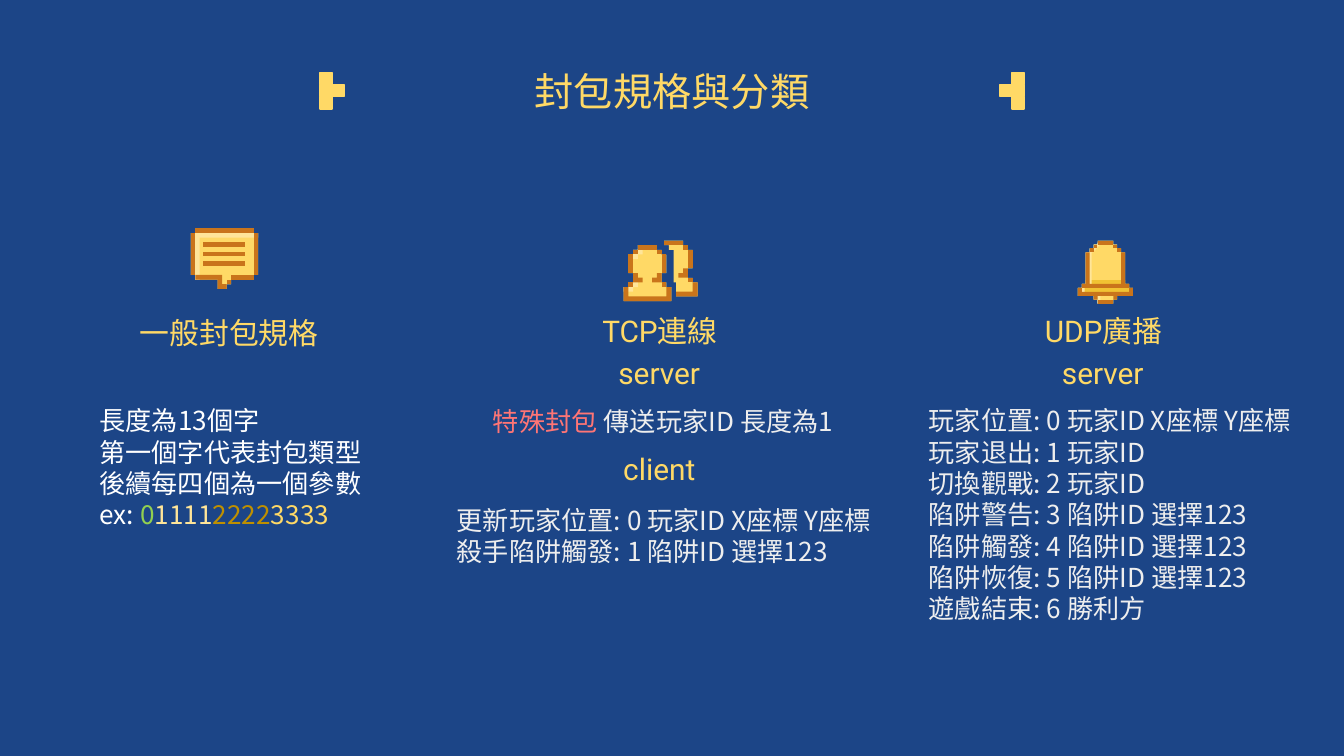
from dataclasses import dataclass

from lxml import etree
from pptx import Presentation
from pptx import util as u
from pptx.dml.color import RGBColor
from pptx.enum import text as t
from pptx.oxml import ns


@dataclass(frozen=True)
class Theme:
    background: str = "1C4587"
    gold: str = "FFD966"
    pale: str = "FFE599"
    amber: str = "F1C232"
    bronze: str = "C9741B"
    ochre: str = "BF9000"
    green: str = "92D050"
    red: str = "FF7575"
    white: str = "FFFFFF"
    body: str = "EEEEEE"
    latin: str = "Roboto"
    cjk: str = "Noto Sans CJK TC"
    title_size: int = 21
    heading_size: int = 16
    body_size: int = 14


THEME = Theme()
COMPARISON_LAYOUT = 4

# Pixel icons: each outline lists every second corner, and its steps go down
# or up first, then sideways. Two corners make a rectangle.
MESSAGE = [
    (THEME.gold, [[(1, 0), (0, 1), (1, 10), (6, 11), (8, 13), (9, 12), (14, 11),
                   (15, 10), (14, 1)]]),
    (THEME.pale, [[(1, 0), (0, 1), (1, 10), (2, 11), (15, 2), (14, 1)]]),
    (THEME.bronze, [[(8, 11), (9, 12)], [(0, 1), (1, 10)], [(14, 1), (15, 10)],
                    [(1, 10), (6, 11), (8, 13), (7, 12)],
                    [(1, 0), (14, 1)], [(9, 10), (14, 11)],
                    *[[(2.75, y), (12, y + 1)] for y in (3, 5, 7)]]),
]
PLAYERS = [
    (THEME.gold, [[(3, 1), (2, 2), (1, 3), (2, 7), (1, 9), (0, 10), (10, 13),
                   (9, 10), (8, 9), (9, 7), (8, 3), (7, 2)],
                  [(8.5, 0), (9.5, 1), (10.5, 2), (11, 9), (15.5, 12), (14.5, 9),
                   (13.5, 8), (14.5, 6), (13.5, 2), (12.5, 1)]]),
    (THEME.pale, [[(3, 1), (2, 2), (1, 3), (3, 4), (4, 3)],
                  [(2, 8), (1, 9), (0, 10), (2, 11), (3, 10)]]),
    (THEME.bronze, [[(1, 3), (2, 7)], [(8, 3), (9, 7)], [(3, 1), (7, 2)],
                    [(2, 2), (3, 3)], [(7, 2), (8, 3)],
                    [(7, 7), (6, 8), (8, 9)], [(2, 7), (4, 9), (3, 8)],
                    [(1, 9), (2, 10)], [(8, 9), (9, 10)],
                    [(0, 10), (10, 13), (9, 10), (1, 12)],
                    [(13.5, 2), (14.5, 6)], [(8.5, 0), (12.5, 1)],
                    [(12.5, 1), (13.5, 2)], [(12.5, 6), (11.5, 7), (13.5, 8)],
                    [(13.5, 8), (14.5, 9)], [(14.5, 9), (11, 11), (15.5, 12)]]),
]
BELL = [
    (THEME.gold, [[(5, 0), (4, 1), (3, 2), (2, 3), (1, 11), (0, 12), (4, 14), (5, 15),
                   (9, 16), (10, 15), (14, 14), (13, 12), (12, 11), (11, 3), (10, 2),
                   (9, 1)]]),
    (THEME.amber, [[(2, 10), (1, 11), (0, 12), (14, 14), (13, 12), (12, 11)]]),
    (THEME.pale, [[(5, 0.5), (4, 1), (3, 2), (2, 3), (3.5, 11), (4, 3), (4.5, 2.5),
                   (5, 2), (5.5, 1.5)],
                  [(1, 11), (0, 12), (1.75, 14)], [(4, 13.75), (5, 15), (5.75, 16)]]),
    (THEME.bronze, [[(3, 2), (4, 3)], [(4, 1), (5, 2)],
                    [(2, 3), (1, 11), (13, 12), (12, 11), (11, 3), (3, 11)],
                    [(5, 15), (9, 16)], [(5, 0), (9, 1)],
                    [(10, 2), (11, 3)], [(9, 1), (10, 2)],
                    [(0, 12), (4, 14), (5, 15), (9, 14), (10, 15), (14, 14), (13, 12),
                     (1, 13)]]),
]
# Title brackets, one square per pixel
LEFT_BRACKET = [(THEME.gold, [[(x, y), (x + 1, y + 1)]
                              for x, y in ((0, 2), (0, 1), (0, 0), (1, 1))])]
RIGHT_BRACKET = [(THEME.gold, [[(x, y), (x + 1, y + 1)]
                               for x, y in ((1, 0), (1, 1), (1, 2), (0, 1))])]


def rgb(color):
    return RGBColor.from_string(color)


def pixel_art(slide, box, grid, layers, outlined=False):
    """Draw coloured outlines on a grid of (columns, rows) filling the box."""
    left, top, width, height = box
    cell_w, cell_h = width / grid[0], height / grid[1]
    art = slide.shapes.add_group_shape()
    for color, outlines in layers:
        for steps in outlines:
            corners = [point for (x, y), (_, next_y) in zip(steps, steps[1:] + steps[:1])
                       for point in ((x, y), (x, next_y))]
            points = [(u.Inches(left + x * cell_w), u.Inches(top + y * cell_h))
                      for x, y in corners]
            builder = art.shapes.build_freeform(*points[0])
            builder.add_line_segments(points[1:], close=True)
            pixel = builder.convert_to_shape()
            pixel.shadow.inherit = False
            pixel.fill.solid()
            pixel.fill.fore_color.rgb = rgb(color)
            if outlined:
                pixel.line.color.rgb = rgb(color)
                pixel.line.width = u.Pt(0.75)
            else:
                pixel.line.fill.background()


def write(slide, box, lines, size, color, latin=THEME.cjk, centred=False,
          bottom=False, holder=None):
    """Set lines in a placeholder or new text box; a line is text or (text, color) runs."""
    place = [u.Inches(length) for length in box]
    holder = holder or slide.shapes.add_textbox(*place)
    holder.left, holder.top, holder.width, holder.height = place
    frame = holder.text_frame
    frame.word_wrap = True
    frame.auto_size = t.MSO_AUTO_SIZE.NONE
    frame.vertical_anchor = t.MSO_ANCHOR.BOTTOM if bottom else t.MSO_ANCHOR.TOP
    frame.margin_left = frame.margin_right = u.Inches(0.1)
    frame.margin_top = frame.margin_bottom = u.Inches(0.1)
    for number, line in enumerate(lines):
        paragraph = frame.paragraphs[0] if number == 0 else frame.add_paragraph()
        paragraph.alignment = t.PP_ALIGN.CENTER if centred else t.PP_ALIGN.LEFT
        paragraph.space_before = u.Pt(0)
        properties = paragraph._p.get_or_add_pPr()
        properties.set("marL", "0")
        properties.set("indent", "0")
        etree.SubElement(properties, ns.qn("a:buNone"))
        font = paragraph.font
        font.size, font.bold, font.name = u.Pt(size), False, latin
        font.color.rgb = rgb(color)
        east_asian = etree.SubElement(properties.find(ns.qn("a:defRPr")), ns.qn("a:ea"))
        east_asian.set("typeface", THEME.cjk)
        for words, run_color in [(line, None)] if isinstance(line, str) else line:
            run = paragraph.add_run()
            run.text = words
            if run_color:
                run.font.color.rgb = rgb(run_color)


def heading(slide, box, words, latin=THEME.latin, bottom=False, holder=None):
    write(slide, box, [words], THEME.heading_size, THEME.gold, latin, True, bottom, holder)


def details(slide, box, lines, color=THEME.body, holder=None):
    write(slide, box, lines, THEME.body_size, color, holder=holder)


def title_bar(slide, box, holder):
    left, top, width, height = box
    write(slide, box, ["封包規格與分類"], THEME.title_size, THEME.gold,
          centred=True, bottom=True, holder=holder)
    for offset, bracket in ((2.04, LEFT_BRACKET), (width - 2.22, RIGHT_BRACKET)):
        pixel_art(slide, (left + offset, top + 0.22, 0.18, 0.27), (2, 3), bracket, True)


def packet_format(slide, box, list_holder):
    left, top, width, _ = box
    pixel_art(slide, (left + 0.78, top, 0.5, 0.45), (15, 13), MESSAGE)
    heading(slide, (left + 0.09, top + 0.58, 1.95, 0.43), "一般封包規格", THEME.cjk, True)
    example = [("ex: ", None), ("0", THEME.green), ("1111", THEME.pale),
               ("2222", THEME.ochre), ("3333", THEME.gold)]
    details(slide, (left, top + 1.21, width, 1.18),
            ["長度為13個字", "第一個字代表封包類型", "後續每四個為一個參數", example],
            THEME.white, list_holder)


def tcp_connection(slide, box, heading_holder):
    left, top, width, _ = box
    pixel_art(slide, (left + 1.34, top, 0.55, 0.45), (15.5, 13), PLAYERS)
    heading(slide, (left - 0.08, top + 0.47, 3.38, 0.43), "TCP連線",
            bottom=True, holder=heading_holder)
    heading(slide, (left + 1, top + 0.75, 1.21, 0.53), "server")
    details(slide, (left + 0.27, top + 1.13, 2.87, 0.43),
            [[("特殊封包", THEME.red), (" 傳送玩家ID 長度為1", None)]])
    heading(slide, (left + 1, top + 1.46, 1.21, 0.55), "client")
    details(slide, (left, top + 1.86, width, 0.63),
            ["更新玩家位置: 0 玩家ID X座標 Y座標", "殺手陷阱觸發: 1 陷阱ID 選擇123"])


def udp_broadcast(slide, box, heading_holder, list_holder):
    left, top, width, _ = box
    pixel_art(slide, (left + 1.21, top, 0.41, 0.47), (14, 16), BELL)
    heading(slide, (left - 0.29, top + 0.47, 3.38, 0.43), "UDP廣播",
            bottom=True, holder=heading_holder)
    heading(slide, (left + 0.79, top + 0.75, 1.21, 0.53), "server")
    trap_events = [f"陷阱{event}: {code} 陷阱ID 選擇123"
                   for code, event in enumerate(("警告", "觸發", "恢復"), 3)]
    details(slide, (left, top + 1.12, width, 2.28),
            ["玩家位置: 0 玩家ID X座標 Y座標", "玩家退出: 1 玩家ID", "切換觀戰: 2 玩家ID",
             *trap_events, "遊戲結束: 6 勝利方"], holder=list_holder)


def main():
    deck = Presentation()
    deck.slide_width = u.Inches(10)
    deck.slide_height = deck.slide_width * 9 // 16
    slide = deck.slides.add_slide(deck.slide_layouts[COMPARISON_LAYOUT])
    slide.background.fill.solid()
    slide.background.fill.fore_color.rgb = rgb(THEME.background)
    title, tcp_heading, format_list, udp_heading, udp_list = list(slide.placeholders)[:5]

    title_bar(slide, (0.34, 0.32, 9.32, 0.63), title)
    packet_format(slide, (0.64, 1.7, 2.19, 2.39), format_list)
    tcp_connection(slide, (3.3, 1.79, 3.54, 2.48), tcp_heading)
    udp_broadcast(slide, (6.81, 1.79, 2.99, 3.4), udp_heading, udp_list)
    deck.save("out.pptx")


if __name__ == "__main__":
    main()
